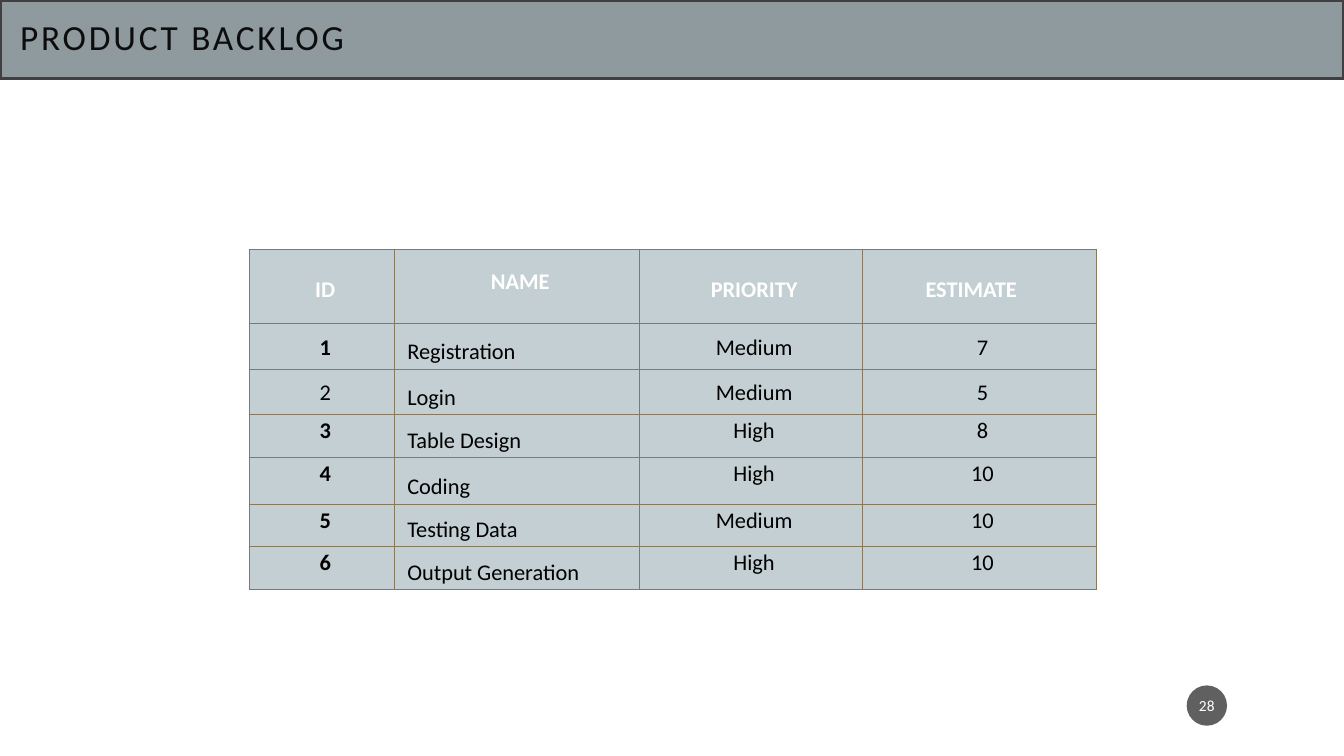
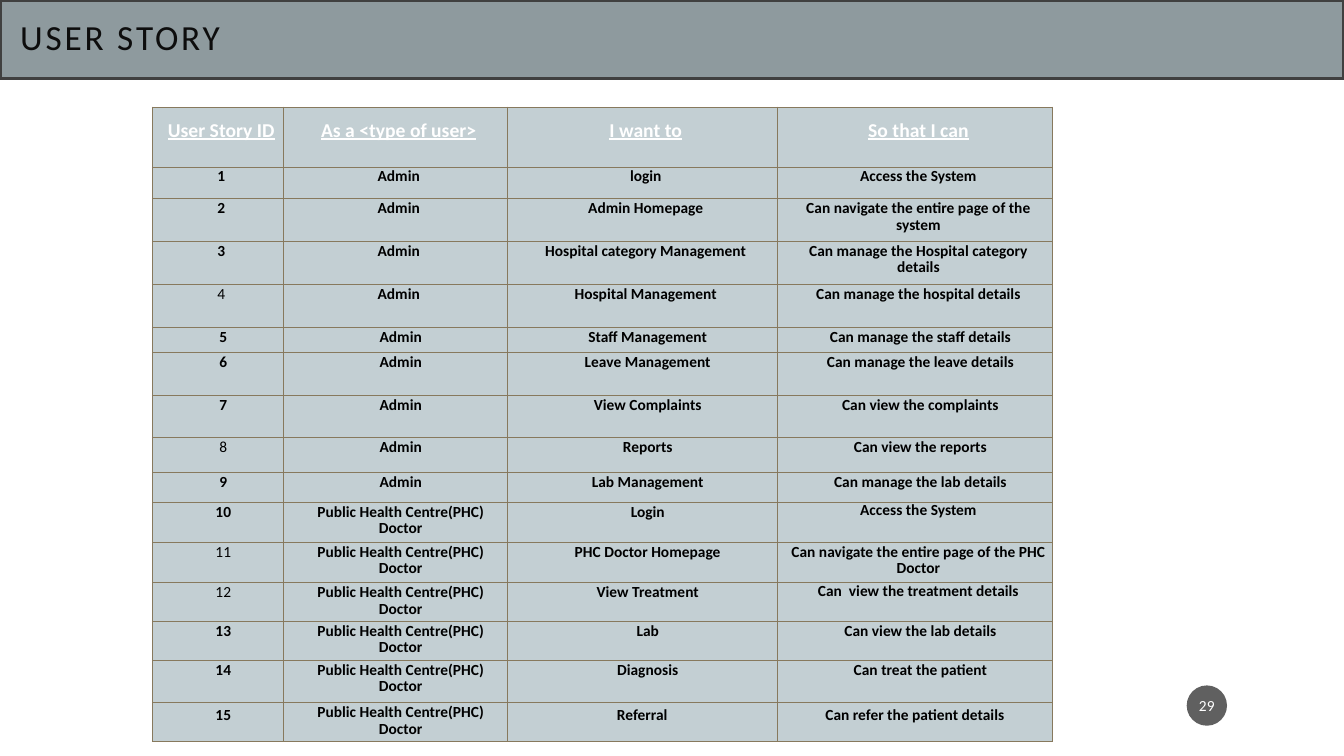
from dataclasses import dataclass, replace
from typing import Callable

from lxml.etree import SubElement
from pptx import Presentation
from pptx.dml.color import RGBColor
from pptx.enum.shapes import MSO_SHAPE
from pptx.enum.text import MSO_ANCHOR, PP_ALIGN
from pptx.oxml.ns import qn
from pptx.util import Inches, Pt

FONT = "Calibri"
BAND = RGBColor(0x8E, 0x9A, 0x9E)
BAND_LINE = RGBColor(0x40, 0x40, 0x40)
TITLE_INK = RGBColor(0x0D, 0x0D, 0x0D)
BADGE = RGBColor(0x1D, 0x1D, 0x1D)
CELL_FILL = RGBColor(0xC3, 0xCF, 0xD3)
GRID_LINE = RGBColor(0x87, 0x79, 0x5D)
WHITE = RGBColor(0xFF, 0xFF, 0xFF)
BLACK = RGBColor(0x00, 0x00, 0x00)


@dataclass(frozen=True)
class CellStyle:
    size: float
    color: RGBColor = BLACK
    bold: bool = False
    underline: bool = False
    indent: float = 0.07
    leading: float | None = None  # points
    top: float = 0.03
    anchor: MSO_ANCHOR = MSO_ANCHOR.TOP
    align: PP_ALIGN = PP_ALIGN.CENTER


@dataclass(frozen=True)
class Grid:
    left: float
    top: float
    cols: list[float]
    rows: list[float]
    cells: list[tuple[str, ...]]
    style: Callable[[int, int], CellStyle]


BACKLOG = [
    ("ID", "NAME", "PRIORITY", "ESTIMATE"),
    ("1", "Registration", "Medium", "7"),
    ("2", "Login", "Medium", "5"),
    ("3", "Table Design", "High", "8"),
    ("4", "Coding", "High", "10"),
    ("5", "Testing Data", "Medium", "10"),
    ("6", "Output Generation", "High", "10"),
]

ADMIN = "Admin"
DOCTOR = "Public Health Centre(PHC)\nDoctor"
STORIES = [
    (ADMIN, "login", "Access the System"),
    (ADMIN, "Admin Homepage", "Can navigate the entire page of the system"),
    (ADMIN, "Hospital category Management", "Can manage the Hospital category details"),
    (ADMIN, "Hospital Management", "Can manage the hospital details"),
    (ADMIN, "Staff Management", "Can manage the staff details"),
    (ADMIN, "Leave Management", "Can manage the leave details"),
    (ADMIN, "View Complaints", "Can view the complaints"),
    (ADMIN, "Reports", "Can view the reports"),
    (ADMIN, "Lab Management", "Can manage the lab details"),
    (DOCTOR, "Login", "Access the System"),
    (DOCTOR, "PHC Doctor Homepage", "Can navigate the entire page of the PHC Doctor"),
    (DOCTOR, "View Treatment", "Can  view the treatment details"),
    (DOCTOR, "Lab", "Can view the lab details"),
    (DOCTOR, "Diagnosis", "Can treat the patient"),
    (DOCTOR, "Referral", "Can refer the patient details"),
]
STORY_TABLE = [("User Story ID", "As a <type of user>", "I want to", "So that I can")] + [
    (str(i), *story) for i, story in enumerate(STORIES, 1)
]
LIGHT_STORY_IDS = {4, 8, 11, 12}


def backlog_style(row: int, col: int) -> CellStyle:
    """Early rows sit one line lower; names sit on the bottom edge."""
    leading = 12.6 if row < 3 else None
    top = 0.2 if row < 3 and col != 1 else 0.03
    base = CellStyle(16, leading=leading, top=top)
    if row == 0:
        head = replace(base, color=WHITE, bold=True, anchor=MSO_ANCHOR.MIDDLE)
        return replace(head, align=PP_ALIGN.LEFT, indent=0.57) if col == 3 else head
    if col == 1:
        return replace(base, anchor=MSO_ANCHOR.BOTTOM, align=PP_ALIGN.LEFT)
    return replace(base, bold=col == 0 and row != 2)


def story_style(row: int, col: int) -> CellStyle:
    if row == 0:
        return CellStyle(14, WHITE, True, True, leading=11.7, top=0.19)
    base = CellStyle(11, bold=col > 0 or row not in LIGHT_STORY_IDS, leading=11.7)
    if row == 15 and col != 1:
        return replace(base, leading=None, indent=0.11 if col == 0 else 0)
    if row == 1 or (col == 3 and row in (10, 12)):
        return replace(base, leading=10.7)
    if row < 5 or (col == 3 and row == 11):
        return base
    return replace(base, indent=0.11)


def set_borders(tc_pr) -> None:
    for side in ("L", "R", "T", "B"):
        ln = SubElement(tc_pr, qn(f"a:ln{side}"), w=str(Pt(0.5)))
        fill = SubElement(ln, qn("a:solidFill"))
        SubElement(fill, qn("a:srgbClr"), val=str(GRID_LINE))


def fill_cell(cell, text: str, style: CellStyle) -> None:
    set_borders(cell._tc.get_or_add_tcPr())
    cell.fill.solid()
    cell.fill.fore_color.rgb = CELL_FILL
    cell.margin_left = cell.margin_right = Inches(0.06)
    cell.margin_top, cell.margin_bottom = Inches(style.top), Inches(0.03)
    cell.vertical_anchor = style.anchor
    cell.text = text
    for p in cell.text_frame.paragraphs:
        p.alignment = style.align
        p._p.get_or_add_pPr().set("marL", str(Inches(style.indent)))
        if style.leading:
            p.line_spacing = Pt(style.leading)
        p.font.name, p.font.size = FONT, Pt(style.size)
        p.font.bold, p.font.underline = style.bold, style.underline
        p.font.color.rgb = style.color


def add_grid(s, grid: Grid) -> None:
    table = s.shapes.add_table(
        len(grid.rows), len(grid.cols), Inches(grid.left), Inches(grid.top),
        Inches(sum(grid.cols)), Inches(sum(grid.rows)),
    ).table
    table.first_row = table.horz_banding = False
    for column, width in zip(table.columns, grid.cols):
        column.width = Inches(width)
    for row, height in zip(table.rows, grid.rows):
        row.height = Inches(height)
    for i, texts in enumerate(grid.cells):
        for j, text in enumerate(texts):
            fill_cell(table.cell(i, j), text, grid.style(i, j))


def add_title(s, text: str) -> None:
    sp = s.shapes.add_shape(MSO_SHAPE.RECTANGLE, 0, 0, Inches(13.33), Inches(0.78))
    sp.shadow.inherit = False
    sp.fill.solid()
    sp.fill.fore_color.rgb = BAND
    sp.line.color.rgb = BAND_LINE
    sp.line.width = Pt(2.5)
    tf = sp.text_frame
    tf.margin_left = tf.margin_right = tf.margin_top = tf.margin_bottom = Inches(0.2)
    tf.vertical_anchor = MSO_ANCHOR.MIDDLE
    p = tf.paragraphs[0]
    p.alignment = PP_ALIGN.LEFT
    p.line_spacing = 0.9
    r = p.add_run()
    r.text = text
    r.font.name, r.font.size = FONT, Pt(25.2)
    r.font.color.rgb = TITLE_INK
    r._r.get_or_add_rPr().set("spc", "200")


def add_page_badge(s, number: int) -> None:
    sp = s.shapes.add_shape(
        MSO_SHAPE.OVAL, Inches(11.77), Inches(6.8), Inches(0.4), Inches(0.4)
    )
    sp.shadow.inherit = False
    sp.fill.solid()
    sp.fill.fore_color.rgb = BADGE
    color = sp._element.spPr.find(f"{qn('a:solidFill')}/{qn('a:srgbClr')}")
    SubElement(color, qn("a:alpha"), val="70000")
    sp.line.fill.background()
    tf = sp.text_frame
    tf.margin_left = tf.margin_right = Inches(0.02)
    tf.vertical_anchor = MSO_ANCHOR.MIDDLE
    p = tf.paragraphs[0]
    p.text = str(number)
    p.alignment = PP_ALIGN.CENTER
    p.font.name, p.font.size = FONT, Pt(11)
    p.font.color.rgb = WHITE


def add_page(prs, title: str, number: int, grid: Grid) -> None:
    s = prs.slides.add_slide(prs.slide_layouts[6])
    add_title(s, title)
    add_page_badge(s, number)
    add_grid(s, grid)


def main() -> None:
    prs = Presentation()
    prs.slide_width, prs.slide_height = Inches(13.33), Inches(7.5)
    add_page(prs, "PRODUCT BACKLOG", 28, Grid(
        2.47, 2.47,
        [1.44, 2.43, 2.21, 2.32],
        [0.74, 0.45, 0.45, 0.43, 0.46, 0.42, 0.43],
        BACKLOG, backlog_style,
    ))
    add_page(prs, "USER STORY", 29, Grid(
        1.51, 1.06,
        [1.3, 2.22, 2.68, 2.73],
        [0.6, 0.31, 0.42, 0.43, 0.43, 0.25, 0.42, 0.42,
         0.35, 0.29, 0.4, 0.4, 0.38, 0.38, 0.42, 0.39],
        STORY_TABLE, story_style,
    ))
    prs.save("out.pptx")


if __name__ == "__main__":
    main()
